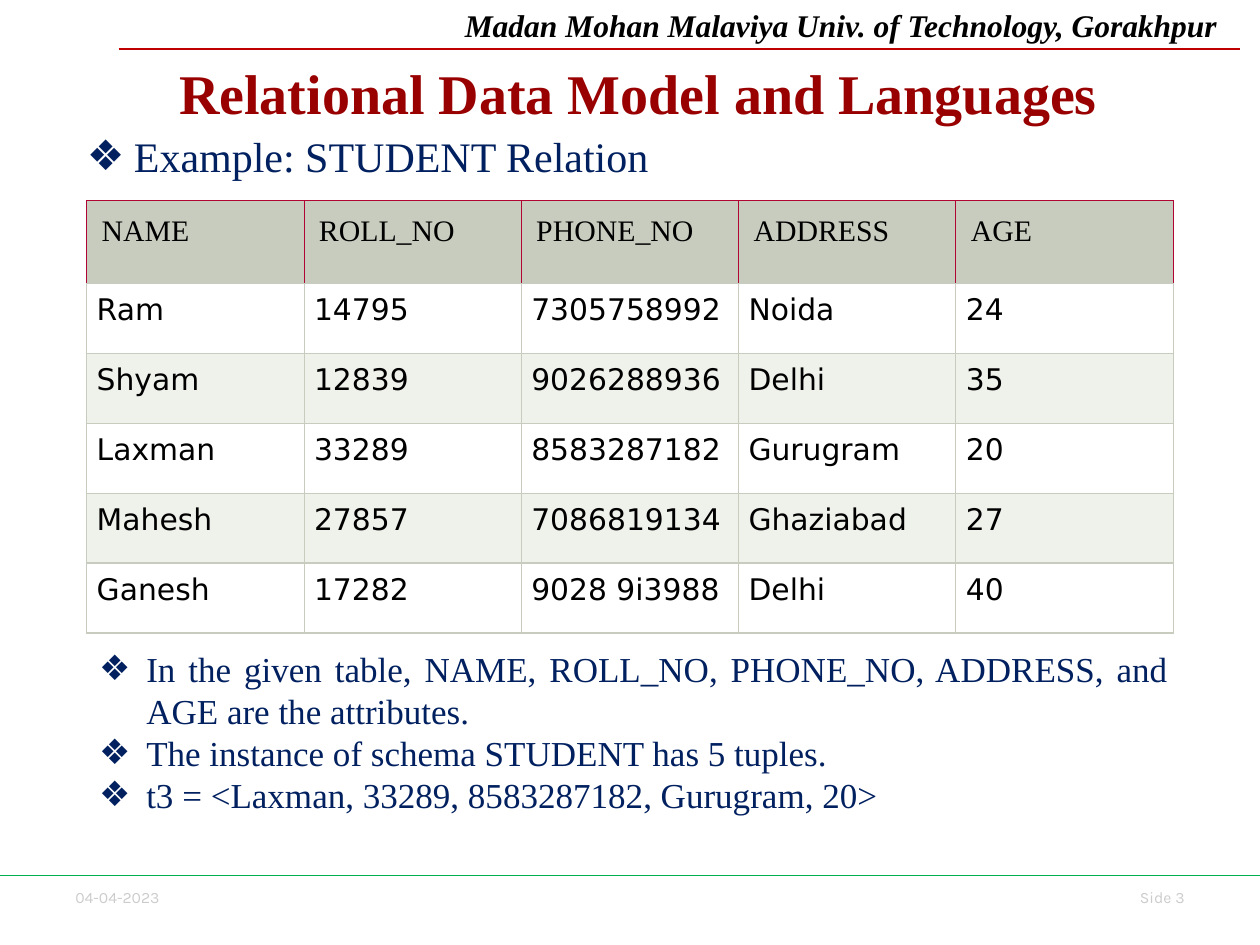
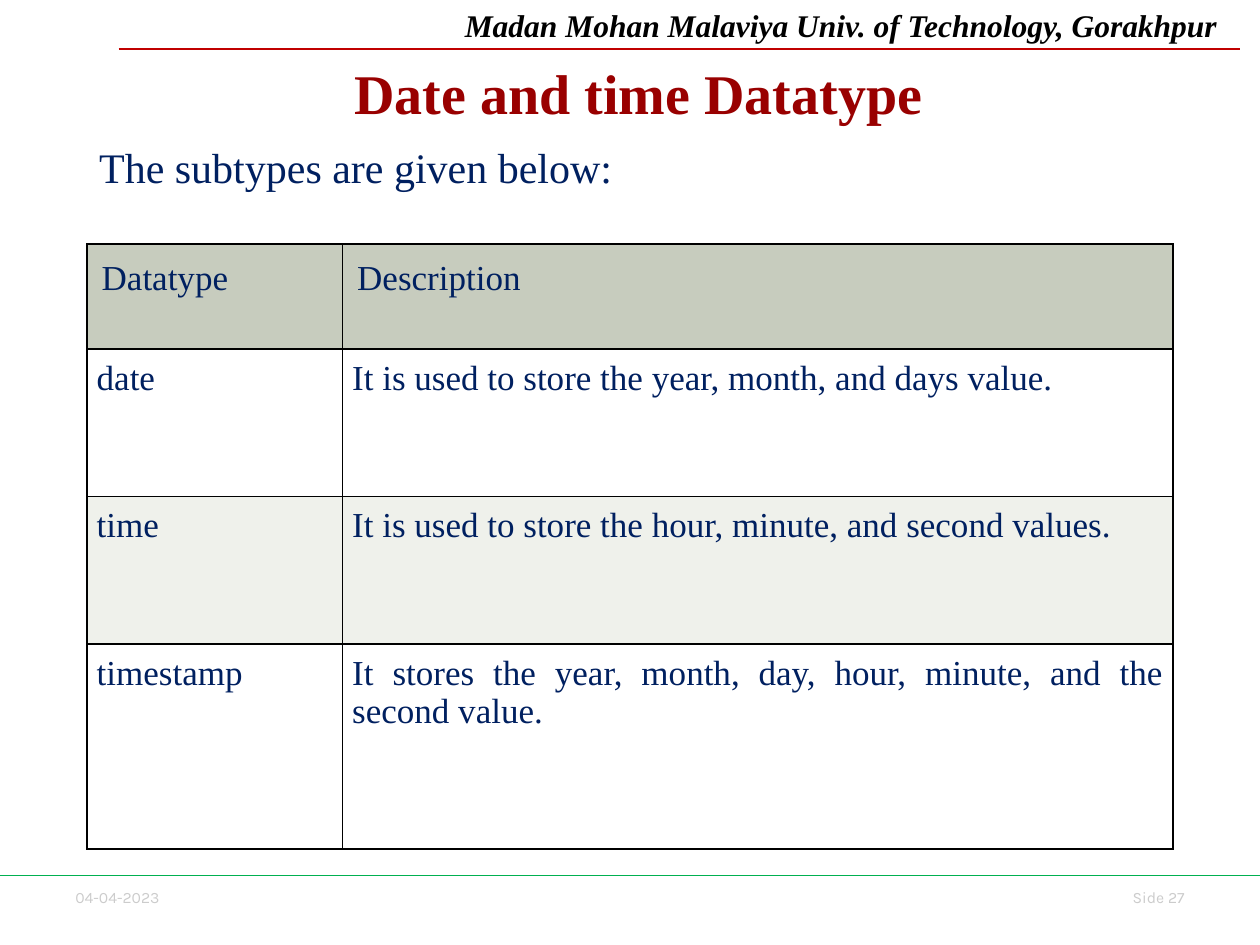
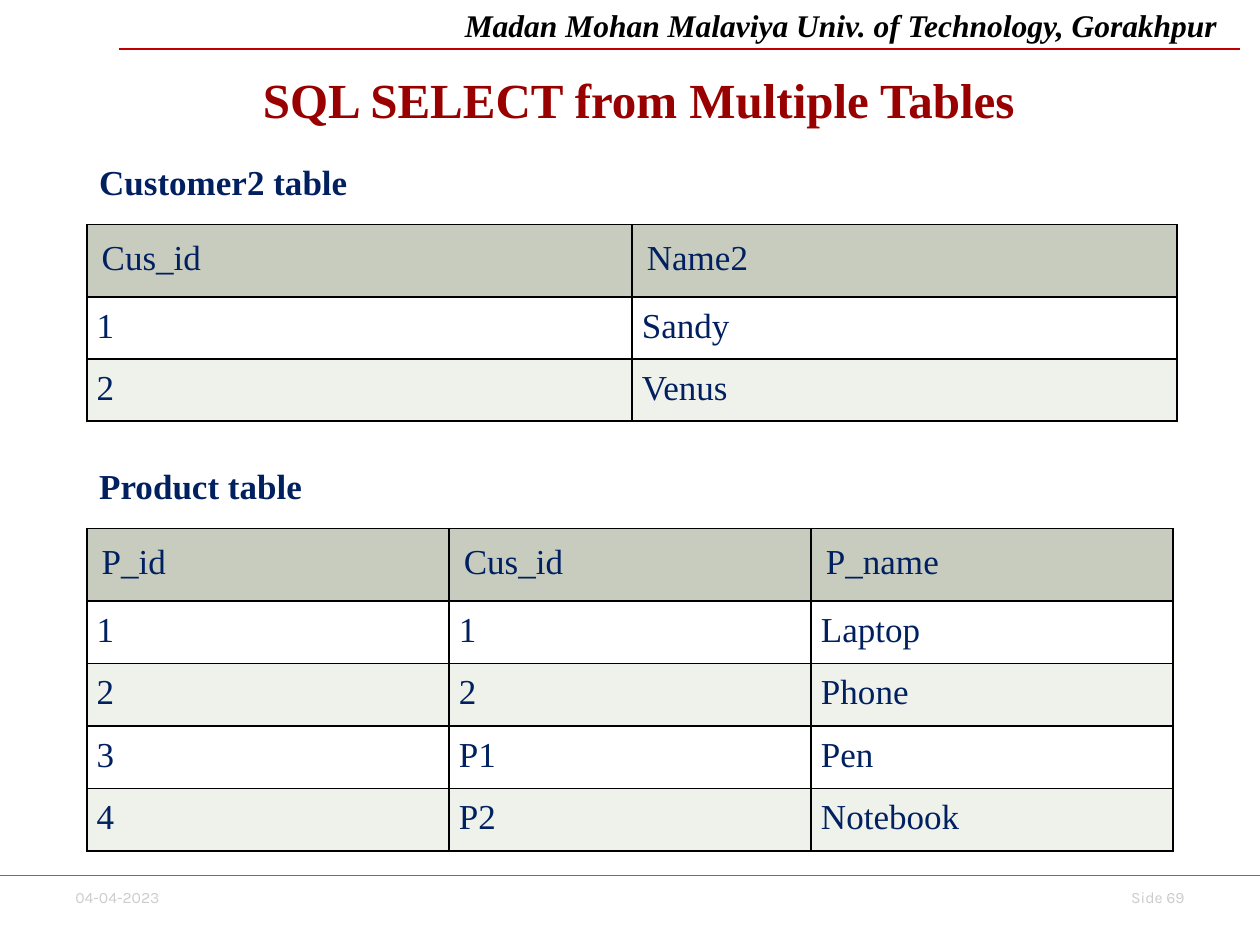
from lxml import etree
from pptx import Presentation
from pptx.dml.color import RGBColor
from pptx.enum.shapes import MSO_CONNECTOR, MSO_SHAPE
from pptx.enum.text import MSO_ANCHOR, PP_ALIGN
from pptx.oxml.ns import qn
from pptx.util import Cm, Pt

LEFT, CENTER, RIGHT, JUSTIFY = PP_ALIGN.LEFT, PP_ALIGN.CENTER, PP_ALIGN.RIGHT, PP_ALIGN.JUSTIFY
TOP, MIDDLE = MSO_ANCHOR.TOP, MSO_ANCHOR.MIDDLE
STRAIGHT = MSO_CONNECTOR.STRAIGHT
RECTANGLE = MSO_SHAPE.RECTANGLE

COLORS = {
    "black": "000000",
    "white": "FFFFFF",
    "title": "990000",
    "body": "002060",
    "footer": "CCCCCC",
    "header_rule": "C00000",
    "footer_rule": "00B050",
    "table_header": "C7CCBE",
    "table_band": "EFF1EB",
    "header_border": "B00435",
}
SERIF, SANS, FOOTER_FONT = "Times New Roman", "DejaVu Sans", "Karla"
SLIDE_WIDTH, SLIDE_HEIGHT = 25.4, 19.05
BODY_LEFT, BODY_WIDTH = 1.75, 21.9
LABEL_WIDTH = SLIDE_WIDTH - BODY_LEFT
BULLET_INDENT = 0.95
HEADER_INSET, CELL_INSET = 0.3, 0.2


def color(name):
    return RGBColor.from_string(COLORS[name])


def add_bullet(paragraph):
    properties = paragraph._p.get_or_add_pPr()
    properties.set("marL", str(Cm(BULLET_INDENT)))
    properties.set("indent", str(-Cm(BULLET_INDENT)))
    etree.SubElement(properties, qn("a:buFont")).set("typeface", SANS)
    etree.SubElement(properties, qn("a:buChar")).set("char", "❖")


def write_text(frame, text, size=20, font=SERIF, ink="body", bold=False,
               italic=False, align=LEFT, anchor=TOP, bullet=False):
    frame.word_wrap = True
    frame.vertical_anchor = anchor
    for index, line in enumerate(text.split("\n")):
        paragraph = frame.add_paragraph() if index else frame.paragraphs[0]
        paragraph.alignment = align
        if bullet:
            add_bullet(paragraph)
        run = paragraph.add_run()
        run.text = line
        run.font.size = Pt(size)
        run.font.name = font
        run.font.bold = bold
        run.font.italic = italic
        run.font.color.rgb = color(ink)


def add_text(slide, box, text, **text_format):
    shape = slide.shapes.add_textbox(*map(Cm, box))
    write_text(shape.text_frame, text, **text_format)
    return shape


def add_panel(slide, box, text, **text_format):
    shape = slide.shapes.add_shape(RECTANGLE, *map(Cm, box))
    shape.shadow.inherit = False
    shape.fill.solid()
    shape.fill.fore_color.rgb = color("white")
    shape.line.fill.background()
    write_text(shape.text_frame, text, **text_format)


def add_rule(slide, left, right, top, ink):
    connector = slide.shapes.add_connector(STRAIGHT, Cm(left), Cm(top), Cm(right), Cm(top))
    connector.line.color.rgb = color(ink)
    connector.line.width = Pt(0.75)
    etree.SubElement(connector._element.spPr, qn("a:effectLst"))


def set_borders(cell, inks, width):
    properties = cell._tc.get_or_add_tcPr()
    for index, (side, ink) in enumerate(zip("LRTB", inks)):
        line = etree.Element(qn(f"a:ln{side}"), w=str(Pt(width)))
        fill = etree.SubElement(line, qn("a:solidFill"))
        etree.SubElement(fill, qn("a:srgbClr")).set("val", COLORS[ink])
        properties.insert(index, line)


def add_data_table(slide, left, top, column_widths, row_heights, rows, size=20,
                   ink="body", body_font=SERIF, border="black", border_width=1,
                   header_borders=None, justified_columns=()):
    frame = slide.shapes.add_table(len(rows), len(column_widths), Cm(left), Cm(top),
                                   Cm(sum(column_widths)), Cm(sum(row_heights)))
    table = frame.table
    table.horz_banding = False
    for column, width in zip(table.columns, column_widths):
        column.width = Cm(width)
    for row_index, values in enumerate(rows):
        is_header = row_index == 0
        table.rows[row_index].height = Cm(row_heights[row_index])
        row_fill = "table_header" if is_header else "white" if row_index % 2 else "table_band"
        inset = Cm(HEADER_INSET if is_header else CELL_INSET)
        borders = header_borders if is_header and header_borders else [border] * 4
        for column_index, value in enumerate(values):
            cell = table.cell(row_index, column_index)
            cell.margin_left = cell.margin_right = cell.margin_top = cell.margin_bottom = inset
            cell.fill.solid()
            cell.fill.fore_color.rgb = color(row_fill)
            set_borders(cell, borders, border_width)
            justified = column_index in justified_columns and not is_header
            write_text(cell.text_frame, value, size=size, ink=ink,
                       font=SERIF if is_header else body_font,
                       align=JUSTIFY if justified else LEFT)


def add_frame_slide(presentation, title, number, title_top=0.91, title_size=32):
    slide = presentation.slides.add_slide(presentation.slide_layouts[6])
    footer = {"size": 9, "font": FOOTER_FONT, "ink": "footer"}
    add_text(slide, (1.27, 17.78, 2.62, 0.64), "04-04-2023", **footer)
    add_text(slide, (22.02, 17.78, 2.11, 0.64), f"Side {number}", align=RIGHT, **footer)
    add_text(slide, (9.12, 0, 16.28, 1.02), "Madan Mohan Malaviya Univ. of Technology, Gorakhpur",
             size=18, ink="black", bold=True, italic=True)
    add_rule(slide, 2.39, 24.99, 0.99, "header_rule")
    add_rule(slide, 0, SLIDE_WIDTH, 17.65, "footer_rule")
    heading = add_text(slide, (1.98, title_top, 21.79, 1.9), title, size=title_size,
                       ink="title", bold=True, align=CENTER)
    heading.text_frame.margin_top = Cm(0.28)
    return slide


def add_labelled_table(slide, top, label, width, row_heights, rows):
    add_text(slide, (BODY_LEFT, top, LABEL_WIDTH, 1.12), label, bold=True, anchor=MIDDLE)
    columns = len(rows[0])
    add_data_table(slide, BODY_LEFT, top + 1.43, [width / columns] * columns, row_heights, rows)


def build_student_slide(presentation):
    slide = add_frame_slide(presentation, "Relational Data Model and Languages", 3)
    students = [
        ("NAME", "ROLL_NO", "PHONE_NO", "ADDRESS", "AGE"),
        ("Ram", "14795", "7305758992", "Noida", "24"),
        ("Shyam", "12839", "9026288936", "Delhi", "35"),
        ("Laxman", "33289", "8583287182", "Gurugram", "20"),
        ("Mahesh", "27857", "7086819134", "Ghaziabad", "27"),
        ("Ganesh", "17282", "9028 9i3988", "Delhi", "40"),
    ]
    add_data_table(slide, BODY_LEFT, 4.04, [BODY_WIDTH / 5] * 5, [1.67] + [1.41] * 5, students,
                   size=17, ink="black", body_font=SANS, border="table_header",
                   border_width=0.75, header_borders=["header_border"] * 3 + ["table_header"])
    add_panel(slide, (BODY_LEFT, 12.93, 22.05, 4.52),
              "In the given table, NAME, ROLL_NO, PHONE_NO, ADDRESS, and AGE are the attributes.\n"
              "The instance of schema STUDENT has 5 tuples.\n"
              "t3 = <Laxman, 33289, 8583287182, Gurugram, 20>",
              align=JUSTIFY, bullet=True)
    add_text(slide, (1.5, 2.51, 12.73, 1.3), "Example: STUDENT Relation", size=24, bullet=True)


def build_datatype_slide(presentation):
    slide = add_frame_slide(presentation, "Date and time Datatype", 27)
    datatypes = [
        ("Datatype", "Description"),
        ("date", "It is used to store the year, month, and days value."),
        ("time", "It is used to store the hour, minute, and second values."),
        ("timestamp", "It stores the year, month, day, hour, minute, and the second value."),
    ]
    add_data_table(slide, BODY_LEFT, 4.92, [5.15, BODY_WIDTH - 5.15],
                   [2.12, 2.97, 2.97, 4.13], datatypes, justified_columns=(1,))
    add_panel(slide, (BODY_LEFT, 2.72, LABEL_WIDTH, 1.3), "The subtypes are given below:",
              size=24, anchor=MIDDLE)


def build_select_slide(presentation):
    slide = add_frame_slide(presentation, "SQL SELECT from Multiple Tables", 69,
                            title_top=1.12, title_size=28)
    customers = [("Cus_id", "Name2"), ("1", "Sandy"), ("2", "Venus")]
    products = [
        ("P_id", "Cus_id", "P_name"),
        ("1", "1", "Laptop"),
        ("2", "2", "Phone"),
        ("3", "P1", "Pen"),
        ("4", "P2", "Notebook"),
    ]
    add_labelled_table(slide, 3.1, "Customer2 table", 21.98, [1.46] + [1.25] * 2, customers)
    add_labelled_table(slide, 9.22, "Product table", BODY_WIDTH, [1.47] + [1.26] * 4, products)


def main():
    presentation = Presentation()
    presentation.slide_width = Cm(SLIDE_WIDTH)
    presentation.slide_height = Cm(SLIDE_HEIGHT)
    build_student_slide(presentation)
    build_datatype_slide(presentation)
    build_select_slide(presentation)
    presentation.save("out.pptx")


if __name__ == "__main__":
    main()
